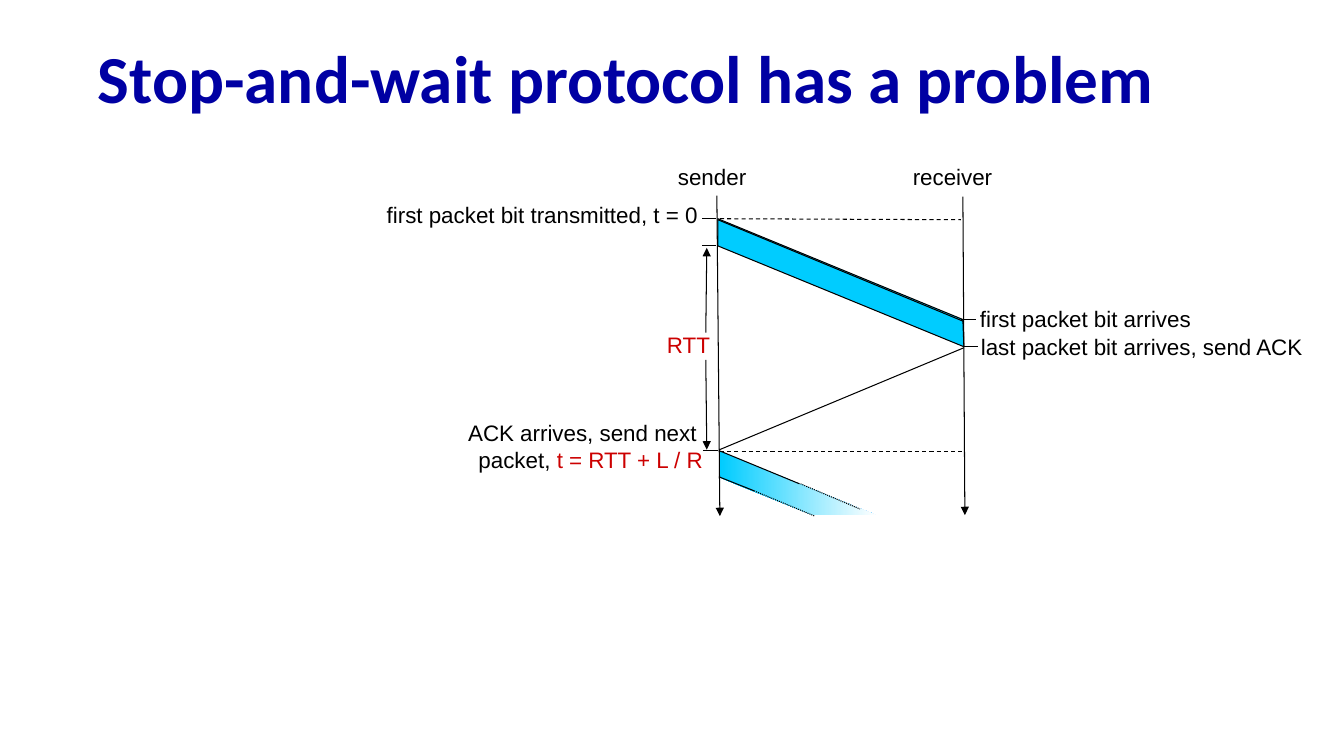
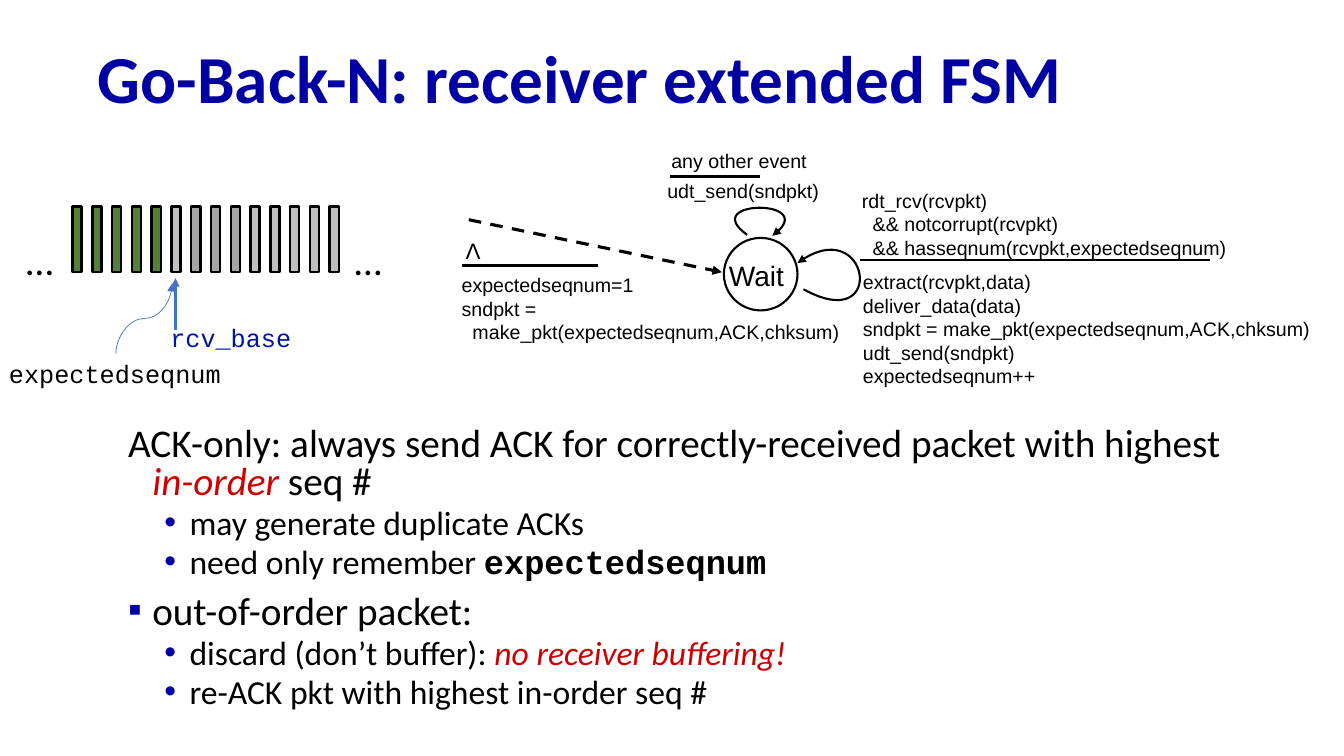
"""Build two slides on stop-and-wait and Go-Back-N protocols."""
import dataclasses

import lxml.etree
import pptx
import pptx.dml.color
import pptx.enum.dml
import pptx.enum.shapes
import pptx.enum.text
import pptx.oxml.ns
import pptx.util

Inches = pptx.util.Inches
Pt = pptx.util.Pt
RGB = pptx.dml.color.RGBColor.from_string
qn = pptx.oxml.ns.qn
Align = pptx.enum.text.PP_ALIGN
Dash = pptx.enum.dml.MSO_LINE
Kind = pptx.enum.shapes.MSO_CONNECTOR
Form = pptx.enum.shapes.MSO_SHAPE


@dataclasses.dataclass(frozen=True)
class Theme:
    ink: str = "000000"
    paper: str = "FFFFFF"
    navy: str = "0000A3"
    base: str = "0013A3"
    dot: str = "0000A8"
    red: str = "CC0000"
    cyan: str = "00CCFF"
    blue: str = "4472C4"
    green: str = "548235"
    pale: str = "BFBFBF"
    grey: str = "A5A5A5"
    sans: str = "Arial"
    text: str = "Calibri"
    mono: str = "Courier New"
    title: int = 48
    main: int = 28
    sub: int = 24
    state: int = 20
    name: int = 18
    label: int = 16
    code: int = 14


look = Theme()


def note(slide, box, text, size, color=look.ink, font=look.sans, align=Align.LEFT, wrap=True):
    frame = slide.shapes.add_textbox(*map(Inches, box)).text_frame
    frame.word_wrap = wrap
    frame.text = text
    for para in frame.paragraphs:
        para.alignment = align
        for run in para.runs:
            run.font.size = Pt(size)
            run.font.name = font
            run.font.color.rgb = RGB(color)
    return frame


def stroke(shape, width, color=look.ink, dash=None, arrow=False):
    shape.line.color.rgb = RGB(color)
    shape.line.width = Pt(width)
    if dash:
        shape.line.dash_style = dash
    if arrow:
        lxml.etree.SubElement(shape.line._get_or_add_ln(), qn("a:tailEnd"), type="triangle")


deck = pptx.Presentation()
deck.slide_width, deck.slide_height = Inches(13.33), Inches(7.5)
wait = deck.slides.add_slide(deck.slide_layouts[5])
gbn = deck.slides.add_slide(deck.slide_layouts[1])

for slide, text in (
    (wait, "Stop-and-wait protocol has a problem"),
    (gbn, "Go-Back-N: receiver extended FSM"),
):
    title = slide.shapes.title
    title.left, title.top, title.width, title.height = map(Inches, (0.87, 0.32, 12.14, 0.98))
    frame = title.text_frame
    frame.text = text
    frame.auto_size = pptx.enum.text.MSO_AUTO_SIZE.NONE
    frame.vertical_anchor = pptx.enum.text.MSO_ANCHOR.MIDDLE
    para = frame.paragraphs[0]
    para.alignment = Align.LEFT
    para.line_spacing = 0.9
    font = para.runs[0].font
    font.name, font.size, font.bold = look.text, Pt(look.title), True
    font.color.rgb = RGB(look.navy)

packet = ((7.12, 2.17), (9.55, 3.17), (9.56, 3.44), (7.12, 2.44))
resend = ((7.14, 4.48), (8.69, 5.11), (8.06, 5.11), (7.14, 4.74))
bands = []
for points in (packet, resend):
    spots = [(Inches(x), Inches(y)) for x, y in points]
    draft = wait.shapes.build_freeform(*spots[0])
    draft.add_line_segments(spots[1:])
    band = draft.convert_to_shape()
    band.shadow.inherit = False
    bands.append(band)
bands[0].fill.solid()
bands[0].fill.fore_color.rgb = RGB(look.cyan)
stroke(bands[0], 0.75)
bands[1].fill.gradient()
bands[1].fill.gradient_angle = 0
for stop, color in zip(bands[1].fill.gradient_stops, (look.cyan, look.paper)):
    stop.color.rgb = RGB(color)
bands[1].line.fill.background()

for box, text, align in (
    ((6.53, 1.57, 0.97, 0.38), "sender", Align.RIGHT),
    ((8.91, 1.57, 1.03, 0.38), "receiver", Align.RIGHT),
    ((3.49, 1.95, 3.53, 0.39), "first packet bit transmitted, t = 0", Align.RIGHT),
    ((9.62, 2.98, 2.65, 0.39), "first packet bit arrives", Align.LEFT),
    ((9.63, 3.26, 3.41, 0.62), "last packet bit arrives, send ACK", Align.LEFT),
):
    note(wait, box, text, look.label, align=align)
note(wait, (6.25, 3.24, 0.89, 0.37), "RTT", look.label, look.red, align=Align.RIGHT)
reply = note(wait, (4.13, 4.11, 2.94, 0.69), "ACK arrives, send next \npacket, ", look.label, align=Align.RIGHT)
run = reply.paragraphs[1].add_run()
run.text = "t = RTT + L / R"
run.font.name, run.font.size = look.sans, Pt(look.label)
run.font.color.rgb = RGB(look.red)

node = gbn.shapes.add_shape(Form.OVAL, *map(Inches, (7.18, 2.36, 0.73, 0.72)))
node.shadow.inherit = False
node.fill.solid()
node.fill.fore_color.rgb = RGB(look.paper)
stroke(node, 1.5)
note(gbn, (7.13, 2.52, 0.88, 0.37), "Wait", look.state)

for box, text in (
    ((6.56, 1.43, 1.82, 0.27), "any other event"),
    ((6.52, 1.73, 1.77, 0.34), "udt_send(sndpkt)"),
    ((8.45, 1.82, 3.9, 0.62), "rdt_rcv(rcvpkt)\n  && notcorrupt(rcvpkt)\n  && hasseqnum(rcvpkt,expectedseqnum)"),
    (
        (8.46, 2.63, 4.72, 0.94),
        "extract(rcvpkt,data)\ndeliver_data(data)\nsndpkt = make_pkt(expectedseqnum,ACK,chksum)\n"
        "udt_send(sndpkt)\nexpectedseqnum++",
    ),
    ((4.48, 2.66, 3.98, 1.07), "expectedseqnum=1\nsndpkt =\n  make_pkt(expectedseqnum,ACK,chksum)"),
):
    note(gbn, box, text, look.code)
note(gbn, (4.52, 2.3, 0.35, 0.37), "Λ", look.label, wrap=False)

for curve in (
    ((7.97, 2.87), (8.82, 3.34), (8.62, 2.08), (7.91, 2.61)),
    ((7.41, 2.33), (6.91, 1.97), (8.17, 1.97), (7.66, 2.34)),
):
    spots = []
    for step in range(33):
        t = step / 32
        parts = ((1 - t) ** 3, 3 * t * (1 - t) ** 2, 3 * t * t * (1 - t), t ** 3)
        spots.append([Inches(sum(w * spot[axis] for w, spot in zip(parts, curve))) for axis in (0, 1)])
    draft = gbn.shapes.build_freeform(*spots[0])
    draft.add_line_segments(spots[1:], close=False)
    loop = draft.convert_to_shape()
    loop.shadow.inherit = False
    loop.fill.background()
    stroke(loop, 1.5, arrow=True)

pitch = (3.27 - 0.72) / 13
for i, color in enumerate([look.green] * 5 + [look.pale] + [look.grey] * 3 + [look.pale] * 5):
    bar = gbn.shapes.add_shape(Form.RECTANGLE, *map(Inches, (0.72 + i * pitch, 2.05, 0.09, 0.65)))
    bar.shadow.inherit = False
    bar.fill.solid()
    bar.fill.fore_color.rgb = RGB(color)
    stroke(bar, 1.75)
for left in (0.16, 3.42):
    note(gbn, (left, 2.3, 0.47, 0.57), "…", look.main, font=look.text, wrap=False)
note(gbn, (1.59, 3.15, 1.41, 0.4), "rcv_base", look.name, look.base, look.mono, wrap=False)
note(gbn, (-0.01, 3.51, 2.31, 0.4), "expectedseqnum", look.name, font=look.mono, wrap=False)

for slide, ends, width, color, dash, arrow in (
    (wait, (7.12, 2.18, 9.56, 3.19), 0.75, look.ink, None, False),
    (wait, (7.11, 1.94, 7.14, 5.12), 0.75, look.ink, None, True),
    (wait, (9.55, 1.95, 9.57, 5.11), 0.75, look.ink, None, True),
    (wait, (7.14, 2.17, 9.53, 2.18), 0.75, look.ink, Dash.DASH, False),
    (wait, (7.14, 4.48, 9.54, 4.48), 0.75, look.ink, Dash.DASH, False),
    (wait, (7.14, 4.46, 9.56, 3.45), 0.75, look.ink, None, False),
    (wait, (7.1, 2.17, 6.96, 2.17), 0.75, look.ink, None, False),
    (wait, (7.1, 2.44, 6.96, 2.44), 0.75, look.ink, None, False),
    (wait, (7.12, 4.47, 6.97, 4.47), 0.75, look.ink, None, False),
    (wait, (7, 3.57, 7.01, 4.46), 0.75, look.ink, None, True),
    (wait, (7, 3.3, 7.01, 2.46), 0.75, look.ink, None, True),
    (wait, (9.68, 3.17, 9.53, 3.17), 0.75, look.ink, None, False),
    (wait, (9.56, 3.44, 9.7, 3.44), 0.75, look.ink, None, False),
    (wait, (7.13, 4.47, 7.93, 4.8), 0.75, look.ink, None, False),
    (wait, (7.94, 4.8, 8.53, 5.05), 0.75, look.ink, Dash.ROUND_DOT, False),
    (wait, (7.13, 4.73, 7.48, 4.87), 0.75, look.ink, None, False),
    (wait, (7.48, 4.87, 8.08, 5.12), 0.75, look.ink, Dash.ROUND_DOT, False),
    (gbn, (4.65, 2.18, 7.16, 2.7), 2.25, look.ink, Dash.DASH, True),
    (gbn, (8.53, 2.58, 12, 2.58), 1.5, look.ink, None, False),
    (gbn, (6.65, 1.75, 7.54, 1.75), 2.25, look.ink, None, False),
    (gbn, (4.58, 2.63, 5.93, 2.63), 2.25, look.ink, None, False),
    (gbn, (1.74, 3.27, 1.74, 2.76), 1.75, look.blue, None, True),
    (gbn, (1.78, 3.44, 1.08, 2.88), 0.5, look.blue, None, True),
):
    bent = width == 0.5
    wire = slide.shapes.add_connector(Kind.CURVE if bent else Kind.STRAIGHT, *map(Inches, ends))
    stroke(wire, width, color, dash, arrow)
    shell = wire.element.spPr
    lxml.etree.SubElement(shell, qn("a:effectLst"))
    if bent:
        shell.find(qn("a:xfrm")).set("rot", "5400000")

body = gbn.placeholders[1]
body.left, body.top, body.width, body.height = map(Inches, (1.02, 4.19, 11.28, 3.12))
frame = body.text_frame
frame.auto_size = pptx.enum.text.MSO_AUTO_SIZE.NONE
plain = (look.text, look.ink, False, False)
stress = (look.text, look.red, False, True)
strong = (look.mono, look.ink, True, False)
points = (
    (0, "", (
        ("ACK-only: always send ACK for correctly-received packet with highest ", plain),
        ("in-order", stress),
        (" seq #", plain),
    )),
    (1, "•", (("may generate duplicate ACKs", plain),)),
    (1, "•", (("need only remember ", plain), ("expectedseqnum", strong))),
    (0, "▪", (("out-of-order packet:", plain),)),
    (1, "•", (("discard (don’t buffer): ", plain), ("no receiver buffering!", stress))),
    (1, "•", (("re-ACK pkt with highest in-order seq #", plain),)),
)
frame.text = "\n".join(parts[0][0] for level, mark, parts in points)
for i, (para, (level, mark, parts)) in enumerate(zip(frame.paragraphs, points)):
    para.level = level
    para.line_spacing = 0.8
    para.space_before = Pt((10, 5)[level] if i else 0)
    props = para._p.get_or_add_pPr()
    props.set("marL", str(Inches((0.39, 0.76)[level])))
    props.set("indent", str(Inches((-0.24, -0.25)[level])))
    if mark:
        tint = lxml.etree.SubElement(props, qn("a:buClr"))
        lxml.etree.SubElement(tint, qn("a:srgbClr"), val=(look.navy, look.dot)[level])
        lxml.etree.SubElement(props, qn("a:buFont"), typeface=look.sans)
        lxml.etree.SubElement(props, qn("a:buChar"), char=mark)
    else:
        lxml.etree.SubElement(props, qn("a:buNone"))
    for text, style in parts[1:]:
        para.add_run().text = text
    for run, (text, style) in zip(para.runs, parts):
        font = run.font
        font.name, color, font.bold, font.italic = style
        font.size = Pt((look.main, look.sub)[level])
        font.color.rgb = RGB(color)

deck.save("out.pptx")
